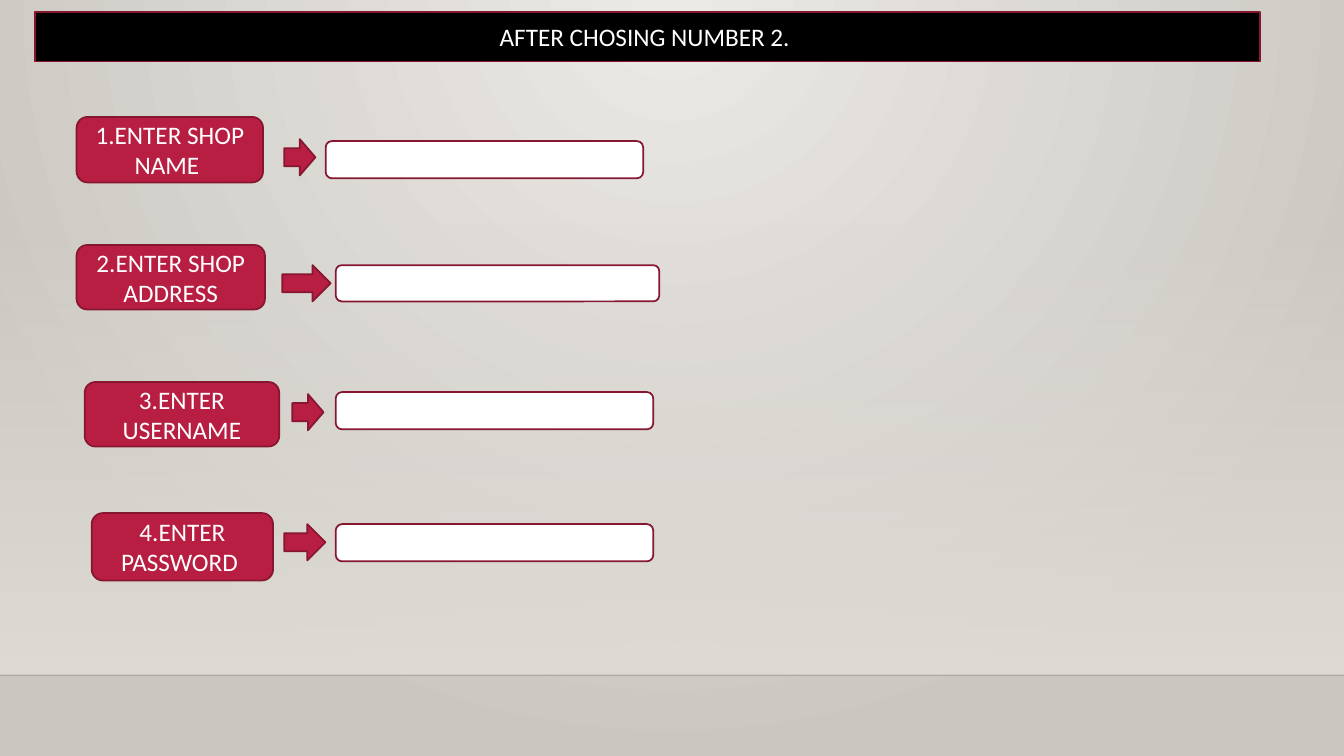
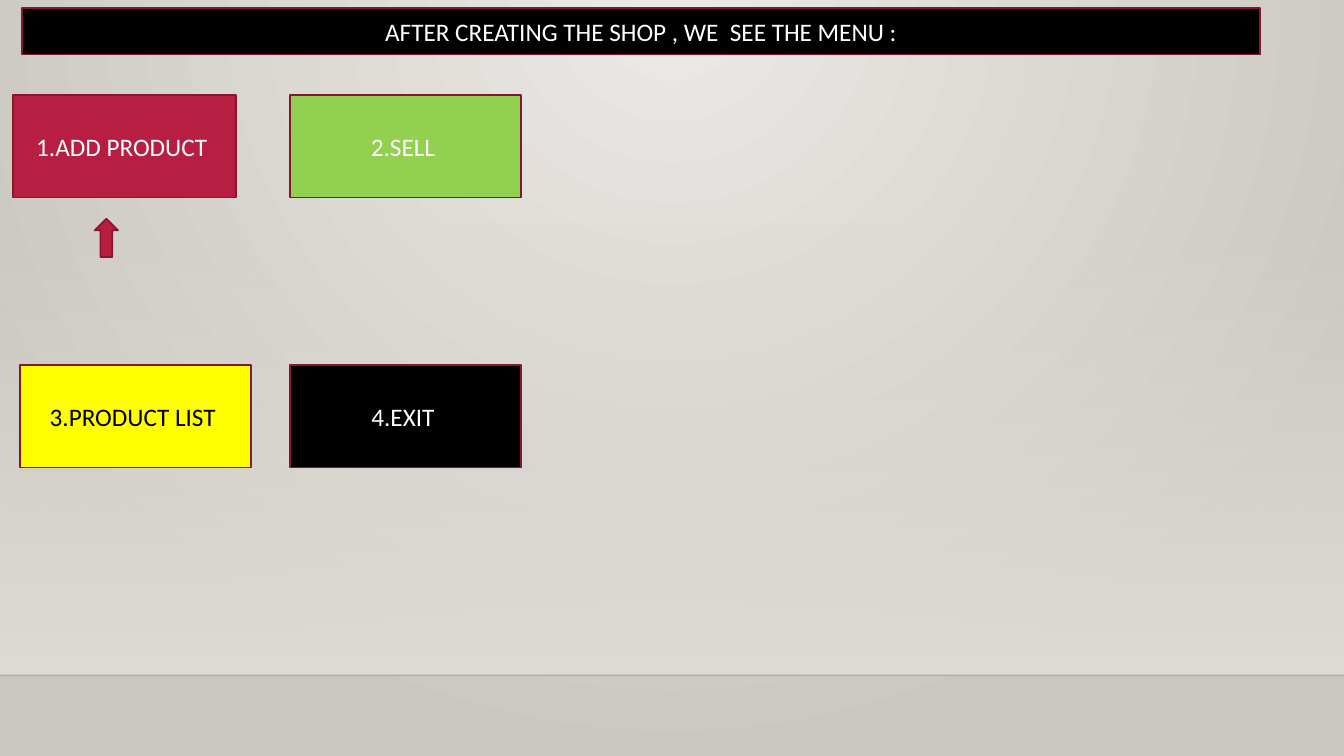
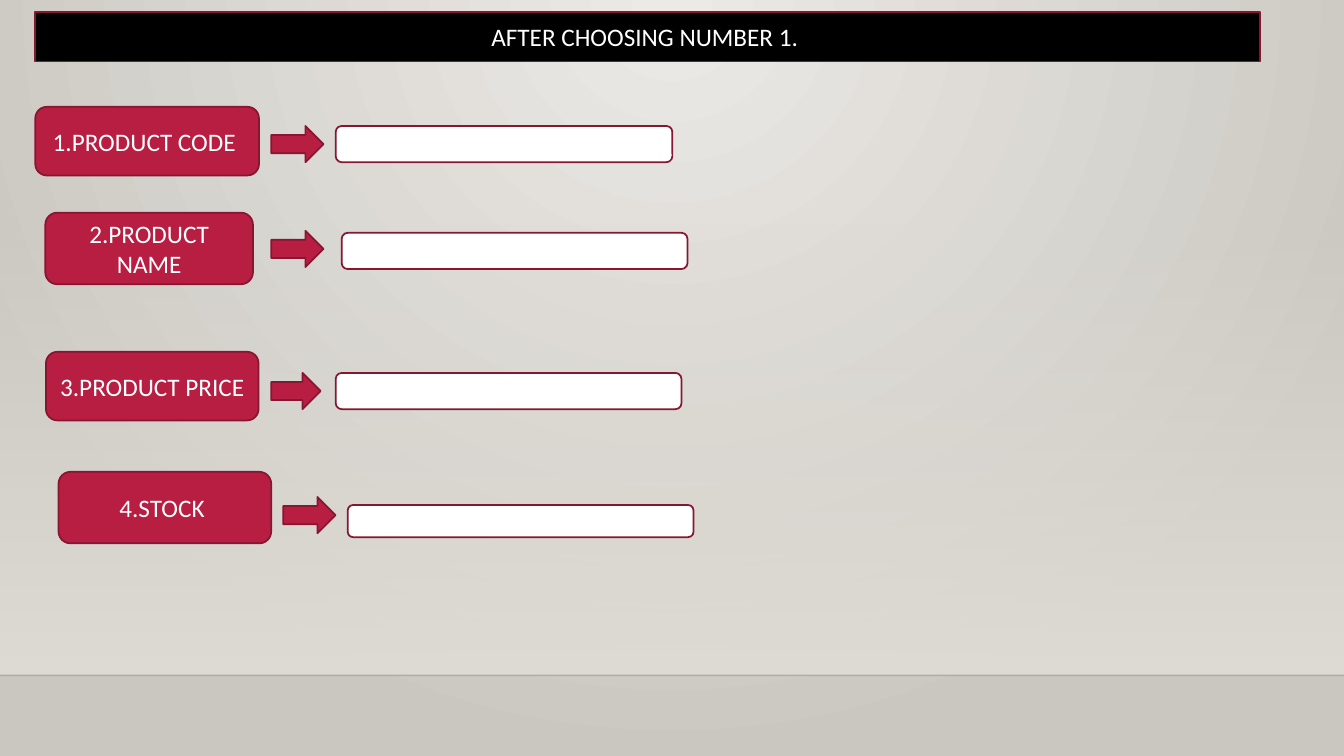
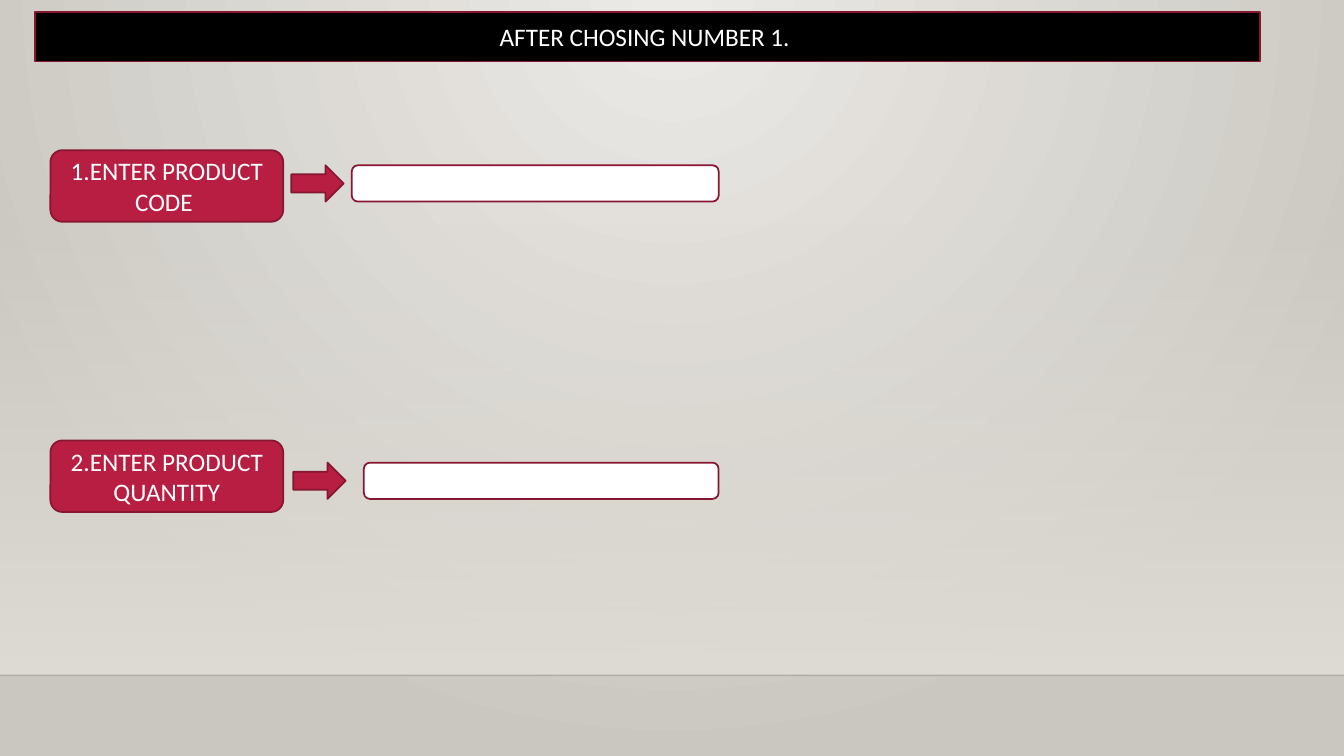
from dataclasses import dataclass

from lxml import etree
from pptx import Presentation
from pptx.dml.color import RGBColor
from pptx.enum.shapes import MSO_CONNECTOR, MSO_SHAPE as SHAPE
from pptx.enum.text import MSO_ANCHOR, PP_ALIGN
from pptx.oxml import parse_xml
from pptx.oxml.ns import nsdecls, qn
from pptx.util import Pt

WIDTH, HEIGHT = 960, 540
FLOOR_Y, GLOW_Y = 482.4, 159.1
FONT, TEXT_SIZE, BORDER_WIDTH = "Calibri", 18, 1.25
RED, BORDER = "B71E42", "871631"
BLACK, WHITE, GREEN, YELLOW = "000000", "FFFFFF", "92D050", "FFFF00"
ARROW_H = 25.9
RADIAL = ('<a:path path="circle">'
          '<a:fillToRect l="43000" t="0" r="43000" b="100000"/></a:path>')
DOWNWARD = '<a:lin ang="5400000" scaled="0"/>'


@dataclass(frozen=True)
class Box:
    """A rectangle in points."""
    x: float
    y: float
    w: float
    h: float


@dataclass(frozen=True)
class Tile:
    """A menu option with its colours."""
    text: str
    box: Box
    fill: str
    color: str = WHITE


@dataclass(frozen=True)
class Entry:
    """A form row: label, arrow and empty input field."""
    text: str
    label: Box
    arrow: Box
    field: Box


@dataclass(frozen=True)
class Form:
    """A slide of form rows under a title."""
    title: str
    entries: tuple[Entry, ...]


TITLE_BOX = Box(25.2, 8.6, 874.8, 35.3)
MENU_TITLE_BOX = Box(15.8, 5.8, 884.2, 33.1)

SHOP_FORM = Form("AFTER CHOSING NUMBER 2. ", (
    Entry("1.ENTER SHOP NAME ", Box(54.7, 83.5, 133.2, 46.8),
          Box(203, 99.4, 22.3, ARROW_H), Box(232.6, 100.8, 226.8, 26.6)),
    Entry("2.ENTER SHOP ADDRESS", Box(54.7, 175, 134.6, 46.1),
          Box(201.6, 189.4, 34.6, ARROW_H), Box(239.8, 189.4, 231.1, 25.9)),
    Entry("3.ENTER USERNAME", Box(60.5, 272.9, 139, 46.1),
          Box(208.8, 281.5, 22.3, ARROW_H), Box(239.8, 280.1, 226.8, 26.6)),
    Entry("4.ENTER PASSWORD ", Box(65.5, 366.5, 129.6, 48.2),
          Box(203, 374.4, 29.5, ARROW_H), Box(239.8, 374.4, 226.8, 26.6)),
))
PRODUCT_FORM = Form("AFTER CHOOSING NUMBER 1. ", (
    Entry("1.PRODUCT CODE ", Box(25.2, 76.3, 159.8, 49),
          Box(193.7, 90, 37.4, ARROW_H), Box(239.8, 90, 240.5, 25.9)),
    Entry("2.PRODUCT NAME", Box(32.4, 151.9, 148.3, 51.1),
          Box(193.7, 164.9, 37.4, ARROW_H), Box(244.1, 166.3, 247, 25.9)),
    Entry("3.PRODUCT PRICE", Box(32.8, 251.3, 151.9, 49),
          Box(193.7, 266.4, 35.3, ARROW_H), Box(239.8, 266.4, 247, 25.9)),
    Entry("4.STOCK ", Box(41.8, 337, 151.9, 51.1),
          Box(202.3, 355, 37.4, ARROW_H), Box(248.4, 360.7, 247, 23)),
))
QUANTITY_FORM = Form("AFTER CHOSING NUMBER 1. ", (
    Entry("1.ENTER PRODUCT CODE ", Box(36, 107.3, 166.3, 51.1),
          Box(208.1, 118.1, 37.4, ARROW_H), Box(251.3, 118.1, 262.1, 25.9)),
    Entry("2.ENTER PRODUCT QUANTITY", Box(36, 314.6, 166.3, 51.1),
          Box(209.5, 330.5, 37.4, ARROW_H), Box(259.9, 330.5, 253.4, 25.9)),
))
MENU_TILES = (
    Tile("1.ADD PRODUCT ", Box(9.4, 67.7, 159.1, 73.4), RED),
    Tile("2.SELL ", Box(207.4, 67.7, 164.9, 73.4), GREEN),
    Tile("3.PRODUCT LIST ", Box(14.4, 260.6, 164.9, 73.4), YELLOW, BLACK),
    Tile("4.EXIT ", Box(207.4, 260.6, 164.9, 73.4), BLACK),
)
MENU_POINTER = Box(67.7, 156.2, 16.6, 27.4)


def rgb(color: str) -> RGBColor:
    """Turn a hex string into a colour."""
    return RGBColor.from_string(color)


def write(shape, text: str, *, size: float = TEXT_SIZE, color: str = WHITE,
          align=PP_ALIGN.CENTER) -> None:
    """Write one paragraph in a shape, centred vertically."""
    tf = shape.text_frame
    tf.word_wrap = True
    tf.vertical_anchor = MSO_ANCHOR.MIDDLE
    p = tf.paragraphs[0]
    p.alignment = align
    r = p.add_run()
    r.text = text
    r.font.name, r.font.size = FONT, Pt(size)
    r.font.color.rgb = rgb(color)


def add_box(s, kind, box: Box, fill: str, text: str = "", **text_format):
    """Add a bordered shape, with text if given."""
    sp = s.shapes.add_shape(kind, Pt(box.x), Pt(box.y), Pt(box.w), Pt(box.h))
    sp.shadow.inherit = False
    sp.fill.solid()
    sp.fill.fore_color.rgb = rgb(fill)
    sp.line.color.rgb = rgb(BORDER)
    sp.line.width = Pt(BORDER_WIDTH)
    if text:
        write(sp, text, **text_format)
    return sp


def set_gradient(holder, start: str, end: str, direction: str,
                 start_alpha: int = 100) -> None:
    """Replace the empty fill in holder with a two-stop gradient."""
    gradient = parse_xml(
        f'<a:gradFill {nsdecls("a")} rotWithShape="1"><a:gsLst>'
        f'<a:gs pos="0"><a:srgbClr val="{start}">'
        f'<a:alpha val="{start_alpha * 1000}"/></a:srgbClr></a:gs>'
        f'<a:gs pos="100000"><a:srgbClr val="{end}"/></a:gs>'
        f'</a:gsLst>{direction}</a:gradFill>')
    holder.replace(holder.find(qn("a:noFill")), gradient)


def style_master(prs, s) -> None:
    """Give the master its background, glow and floor line, built on s."""
    master = prs.slide_master
    master.background.fill.background()
    set_gradient(master.element.find(".//" + qn("p:bgPr")),
                 "ECEAE7", "CAC7C1", RADIAL)

    glow = s.shapes.add_shape(SHAPE.RECTANGLE, 0, Pt(GLOW_Y), Pt(WIDTH),
                              Pt(FLOOR_Y - GLOW_Y))
    glow.shadow.inherit = False
    glow.line.fill.background()
    glow.fill.background()
    set_gradient(glow.element.spPr, "DFDBD5", "DFDBD5", DOWNWARD, 0)

    floor = s.shapes.add_connector(MSO_CONNECTOR.STRAIGHT, 0, Pt(FLOOR_Y),
                                   Pt(WIDTH), Pt(FLOOR_Y))
    floor.line.width = Pt(1)
    floor.line.color.rgb = rgb("000001")
    sp_pr = floor.element.spPr
    etree.SubElement(sp_pr.find(".//" + qn("a:srgbClr")),
                     qn("a:alpha")).set("val", "20000")
    etree.SubElement(sp_pr, qn("a:effectLst"))

    for shape_id, shape in enumerate((glow, floor), start=101):
        shape.element.find(".//" + qn("p:cNvPr")).set("id", str(shape_id))
        master.shapes.element.append(shape.element)


def add_title(s, text: str, box: Box = TITLE_BOX) -> None:
    """Add the black title bar."""
    add_box(s, SHAPE.RECTANGLE, box, BLACK, text)


def build_form(s, form: Form) -> None:
    """Draw the title and the rows of a form."""
    add_title(s, form.title)
    for entry in form.entries:
        add_box(s, SHAPE.ROUNDED_RECTANGLE, entry.label, RED, entry.text)
        add_box(s, SHAPE.RIGHT_ARROW, entry.arrow, RED)
        add_box(s, SHAPE.ROUNDED_RECTANGLE, entry.field, WHITE)


def build_menu(s) -> None:
    """Draw the shop menu with a pointer to its first option."""
    add_title(s, "AFTER CREATING THE SHOP , WE  SEE THE MENU :", MENU_TITLE_BOX)
    for tile in MENU_TILES:
        add_box(s, SHAPE.RECTANGLE, tile.box, tile.fill, tile.text,
                color=tile.color)
    add_box(s, SHAPE.UP_ARROW, MENU_POINTER, RED)


def main() -> None:
    """Build and save the presentation."""
    prs = Presentation()
    prs.slide_width, prs.slide_height = Pt(WIDTH), Pt(HEIGHT)
    shop, menu, product, quantity = (
        prs.slides.add_slide(prs.slide_layouts[6]) for _ in range(4))
    style_master(prs, shop)
    build_form(shop, SHOP_FORM)
    build_menu(menu)
    build_form(product, PRODUCT_FORM)
    build_form(quantity, QUANTITY_FORM)
    prs.save("out.pptx")


main()
